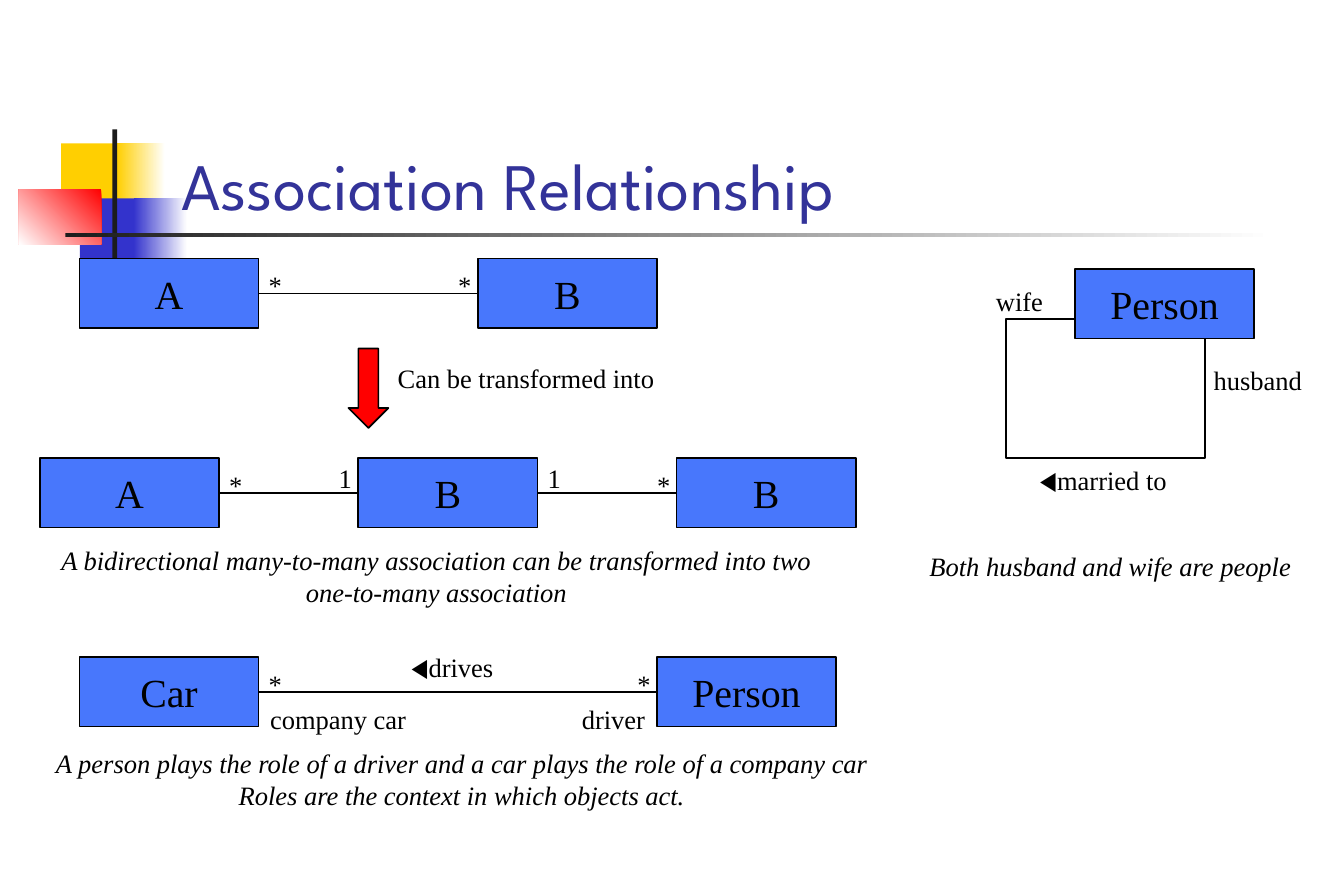
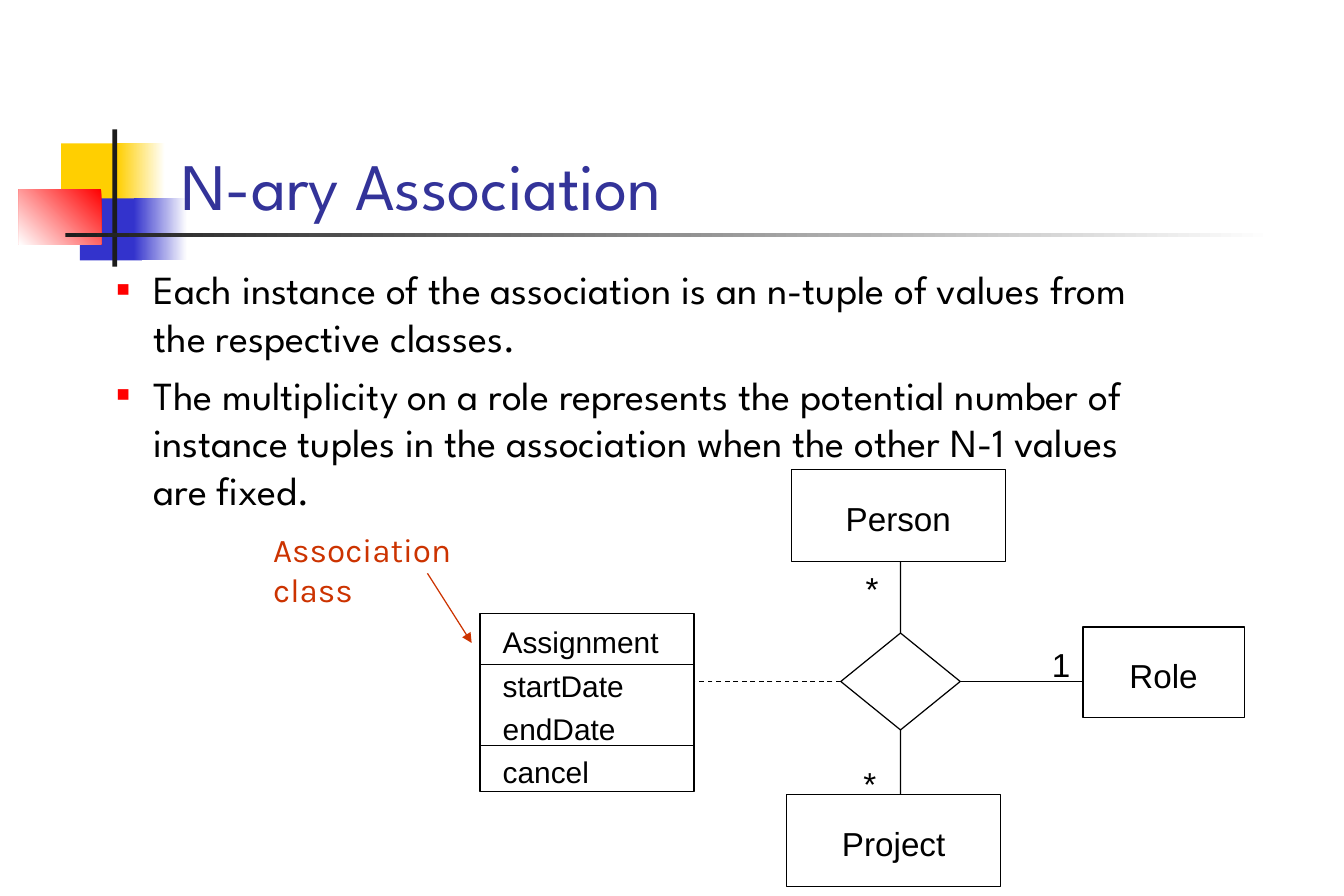
from pptx import Presentation
from pptx.dml.color import RGBColor
from pptx.enum.dml import MSO_LINE
from pptx.enum.shapes import MSO_CONNECTOR as LINK, MSO_SHAPE as SHAPE
from pptx.enum.text import MSO_ANCHOR as ANCHOR, PP_ALIGN as ALIGN
from pptx.oxml.ns import qn
from pptx.util import Cm, Pt
from lxml.etree import SubElement

BLACK = RGBColor(0x00, 0x00, 0x00)
WHITE = RGBColor(0xFF, 0xFF, 0xFF)
YELLOW = RGBColor(0xFF, 0xCF, 0x01)
NAVY = RGBColor(0x33, 0x33, 0xCC)
RED = RGBColor(0xFF, 0x00, 0x00)
CHARCOAL = RGBColor(0x1C, 0x1C, 0x1C)
TITLE_BLUE = RGBColor(0x33, 0x33, 0x99)
CLASS_BLUE = RGBColor(0x48, 0x77, 0xFC)
RUST = RGBColor(0xCC, 0x33, 0x00)

SERIF, SANS, DISPLAY, NOTE = "Times New Roman", "Arial", "League Spartan", "Karla"
TOP, LEFT, BOTTOM, RIGHT = range(4)
CLASS_W, CLASS_H = 3.81, 1.48
UML_W, UML_H = 4.55, 1.96


def add_bullet(paragraph):
    props = paragraph._p.get_or_add_pPr()
    props.set("marL", str(Cm(2.06)))
    props.set("indent", str(Cm(-0.79)))
    colour = SubElement(props, qn("a:buClr"))
    SubElement(colour, qn("a:srgbClr")).set("val", str(RED))
    SubElement(props, qn("a:buSzPct")).set("val", "55000")
    SubElement(props, qn("a:buFont")).set("typeface", SANS)
    SubElement(props, qn("a:buChar")).set("char", "■")


def write(frame, paragraphs, size=16, font=SERIF, colour=BLACK, italic=False,
          align=ALIGN.CENTER, anchor=ANCHOR.TOP, wrap=False, gap=0, bullet=False,
          inset=(0.25, 0.13)):
    frame.word_wrap = wrap
    frame.vertical_anchor = anchor
    frame.margin_left, frame.margin_top = Cm(inset[0]), Cm(inset[1])
    frame.margin_right, frame.margin_bottom = Cm(0.25), Cm(0.13)
    for index, content in enumerate(paragraphs):
        paragraph = frame.add_paragraph() if index else frame.paragraphs[0]
        paragraph.alignment = align
        paragraph.space_before = Pt(gap if index else 0)
        if bullet:
            add_bullet(paragraph)
        pieces = [(content, font)] if isinstance(content, str) else content
        for words, face in pieces:
            run = paragraph.add_run()
            run.text = words
            run.font.size, run.font.name = Pt(size), face
            run.font.color.rgb, run.font.italic = colour, italic


def label(slide, left, top, width, height, *paragraphs, **style):
    box = slide.shapes.add_textbox(Cm(left), Cm(top), Cm(width), Cm(height))
    write(box.text_frame, paragraphs, **style)


def block(slide, left, top, width, height, fill=None, outline=None, weight=1,
          kind=SHAPE.RECTANGLE, fade=None, angle=0):
    shape = slide.shapes.add_shape(kind, Cm(left), Cm(top), Cm(width), Cm(height))
    shape.shadow.inherit = False
    if fade is not None:
        shape.fill.gradient()
        shape.fill.gradient_angle = angle
        for stop, colour in zip(shape.fill.gradient_stops, (fill, fade)):
            stop.color.rgb = colour
    elif fill is not None:
        shape.fill.solid()
        shape.fill.fore_color.rgb = fill
    else:
        shape.fill.background()
    if outline is None:
        shape.line.fill.background()
    else:
        shape.line.color.rgb = outline
        shape.line.width = Pt(weight)
    return shape


def link(slide, start=(0, 0), end=(0, 0), begin_at=None, end_at=None, colour=BLACK,
         weight=0.75, dashed=False, arrow=False):
    line = slide.shapes.add_connector(LINK.STRAIGHT, *(Cm(v) for v in (*start, *end)))
    if begin_at:
        line.begin_connect(*begin_at)
    if end_at:
        line.end_connect(*end_at)
    line.line.color.rgb = colour
    line.line.width = Pt(weight)
    if dashed:
        line.line.dash_style = MSO_LINE.DASH
    props = line._element.spPr
    if arrow:
        SubElement(props.get_or_add_ln(), qn("a:tailEnd")).set("type", "triangle")
    SubElement(props, qn("a:effectLst"))


def titled_slide(deck, title):
    slide = deck.slides.add_slide(deck.slide_layouts[6])
    block(slide, 1.3, 3.05, 1.37, 1.32, YELLOW)
    block(slide, 2.49, 3.05, 1.02, 1.32, YELLOW, fade=WHITE)
    block(slide, 1.7, 4.22, 1.32, 1.32, NAVY)
    block(slide, 2.84, 4.22, 1.14, 1.32, NAVY, fade=WHITE)
    block(slide, 0.4, 4.02, 1.75, 1.18, RED, fade=WHITE, angle=225)
    block(slide, 2.39, 2.75, 0.1, 2.92, CHARCOAL)
    block(slide, 1.39, 4.96, 25.7, 0.09, CHARCOAL, fade=WHITE)
    label(slide, 3.6, 1.7, 24.36, 3.18, title, size=40, font=DISPLAY,
          colour=TITLE_BLUE, align=ALIGN.LEFT, anchor=ANCHOR.BOTTOM, wrap=True)
    return slide


def class_box(slide, left, top, name):
    box = block(slide, left, top, CLASS_W, CLASS_H, CLASS_BLUE, BLACK)
    write(box.text_frame, [name], size=24, anchor=ANCHOR.MIDDLE)
    return box


def association_row(slide, top, classes, multiplicities):
    boxes = [class_box(slide, left, top, name) for left, name in classes]
    for index, ends in enumerate(multiplicities):
        link(slide, begin_at=(boxes[index], RIGHT), end_at=(boxes[index + 1], LEFT),
             weight=1)
        spots = (classes[index][0] + CLASS_W - 0.04, classes[index + 1][0] - 0.67)
        for left, count in zip(spots, ends):
            drop = 0.1 if count == "*" else -0.05
            label(slide, left, top + drop, 0.79, 0.94, count)


def many_to_many(slide, left, top):
    association_row(slide, top, [(left + 0.84, "A"), (left + 9.31, "B")], ["**"])
    block(slide, left + 6.56, top + 1.91, 0.85, 1.69, RED, BLACK, kind=SHAPE.DOWN_ARROW)
    label(slide, left + 7.35, top + 2.07, 5.97, 0.94, "Can be transformed into")
    classes = [(left + 6.77 * column, name) for column, name in enumerate("ABB")]
    association_row(slide, top + 4.24, classes, ["*1", "1*"])
    label(slide, left + 0.19, top + 5.93, 16.48, 1.63,
          "A bidirectional many-to-many association can be transformed into two",
          "one-to-many association", italic=True)


def roles(slide, left, top):
    association_row(slide, top + 0.25, [(left + 0.85, "Car"), (left + 13.13, "Person")],
                    ["**"])
    label(slide, left + 7.62, top, 2.31, 0.94, [("◀", SANS), ("drives", SERIF)])
    label(slide, left + 4.65, top + 1.09, 3.4, 0.94, "company car")
    label(slide, left + 11.28, top + 1.09, 1.85, 0.94, "driver")
    label(slide, left, top + 2.03, 17.96, 1.63,
          "A person plays the role of a driver and a car plays the role of a company car",
          "Roles are the context in which objects act.", italic=True)


def marriage(slide, left, top):
    block(slide, left + 1.88, top + 1.06, 4.24, 2.96, outline=BLACK)
    class_box(slide, left + 3.35, top, "Person")
    label(slide, left + 1.42, top + 0.2, 1.5, 0.94, "wife")
    label(slide, left + 6.04, top + 1.9, 2.39, 0.94, "husband")
    label(slide, left + 2.31, top + 4.01, 3.28, 0.94, [("◀", SANS), ("married to", SERIF)])
    label(slide, left, top + 5.84, 8.2, 0.94, "Both husband and wife are people",
          italic=True)


def uml_class(slide, left, top, width, height, name):
    box = block(slide, left, top, width, height, outline=BLACK, weight=0.75)
    write(box.text_frame, [name], size=20, font=SANS, anchor=ANCHOR.MIDDLE,
          inset=(0.25, 0.25))


def association_class(slide, left, top):
    box = block(slide, left, top, UML_W, 3.78, outline=BLACK, weight=0.75)
    write(box.text_frame, ["Assignment", "startDate", "endDate", "cancel"], size=18,
          font=SANS, align=ALIGN.LEFT, gap=4.5, inset=(0.48, 0.22))
    for drop in (1.07, 2.8):
        link(slide, (left, top + drop), (left + UML_W, top + drop))


def nary_diagram(slide, left, top):
    axis, middle = left + 8.94, top + 4.51
    uml_class(slide, left + 6.62, top, UML_W, UML_H, "Person")
    uml_class(slide, left + 6.52, top + 6.91, UML_W, UML_H, "Project")
    uml_class(slide, left + 12.82, top + 3.35, 3.43, 1.93, "Role")
    association_class(slide, left, top + 3.07)
    hub = block(slide, axis - 1.27, middle - 1.03, 2.54, 2.06, outline=BLACK,
                weight=0.75, kind=SHAPE.DIAMOND)
    link(slide, end=(axis, top + UML_H), begin_at=(hub, TOP))
    link(slide, end=(axis, top + 6.91), begin_at=(hub, BOTTOM))
    link(slide, end=(left + 12.82, middle), begin_at=(hub, RIGHT))
    link(slide, end=(left + UML_W, middle), begin_at=(hub, LEFT), dashed=True)
    for dx, dy, count in ((7.95, 1.98, "*"), (11.91, 3.6, "1"), (7.9, 6.12, "*")):
        label(slide, left + dx, top + dy, 0.84, 1.12, count, size=20, font=SANS,
              align=ALIGN.LEFT)


def class_note(slide, left, top):
    label(slide, left, top, 5.6, 1.94, "Association class", size=20, font=NOTE,
          colour=RUST, align=ALIGN.LEFT, wrap=True)
    link(slide, (left + 3.53, top + 1.06), (left + 4.47, top + 2.54), colour=RUST,
         arrow=True)


def relationship_slide(deck):
    slide = titled_slide(deck, "Association Relationship")
    many_to_many(slide, 0.85, 5.5)
    roles(slide, 0.84, 13.72)
    marriage(slide, 19.51, 5.72)


def nary_slide(deck):
    slide = titled_slide(deck, "N-ary Association")
    label(slide, 0.96, 5.5, 24.28, 6.35,
          "Each instance of the association is an n-tuple of values from the "
          "respective classes.",
          "The multiplicity on a role represents the potential number of instance "
          "tuples in the association when the other N-1 values are fixed.",
          size=24, font=DISPLAY, align=ALIGN.LEFT, wrap=True, gap=6, bullet=True)
    nary_diagram(slide, 10.21, 9.98)
    class_note(slide, 5.56, 11.13)


def main():
    deck = Presentation()
    deck.slide_width, deck.slide_height = Cm(28.58), Cm(19.05)
    relationship_slide(deck)
    nary_slide(deck)
    deck.save("out.pptx")


if __name__ == "__main__":
    main()
